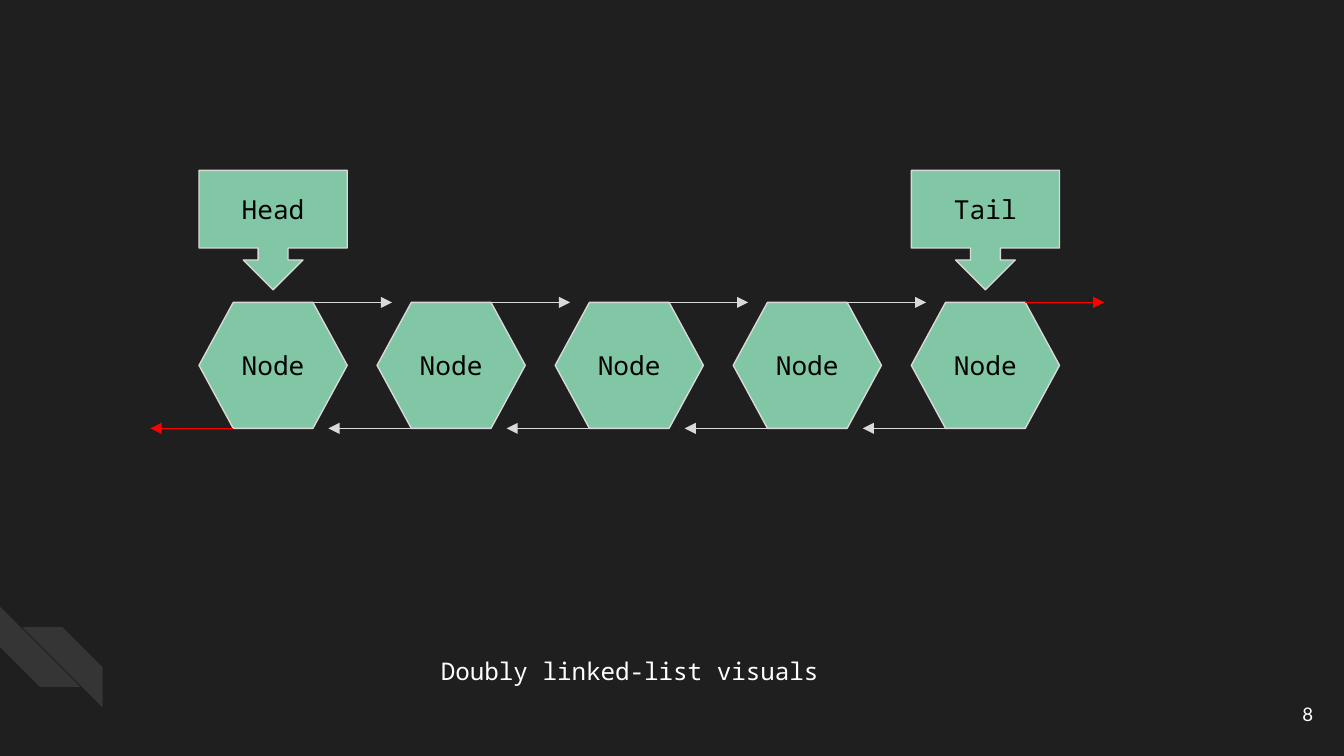
from lxml import etree
from pptx import Presentation
from pptx import util as u
from pptx.dml import color
from pptx.enum import shapes, text
from pptx.oxml import ns

Pt = u.Pt
Kind = shapes.MSO_SHAPE
Align = text.PP_ALIGN
HUES = {
    "back": "1F1F1F",
    "node": "82C7A5",
    "edge": "D9D9D9",
    "null": "FF0000",
    "ink": "000000",
    "light": "FFFFFF",
}
MONO = "Noto Sans Mono"
COUNT = 5
LEFT, TOP = 106.6, 162
WIDE, HIGH = 79.4, 67.5
STEP = 95.4


class Deck:
    """Holds the style and the slide being drawn."""

    def __init__(self):
        self.show = Presentation()
        self.show.slide_width, self.show.slide_height = Pt(720), Pt(405)
        self.slide = self.show.slides.add_slide(self.show.slide_layouts[6])
        self.paint(self.slide.background.fill, "back")

    def paint(self, fill, hue):
        fill.solid()
        fill.fore_color.rgb = color.RGBColor.from_string(HUES[hue])

    def letter(self, frame, words, size, hue, font=MONO, align=Align.CENTER):
        """Put one styled line of words into a text frame."""
        frame.word_wrap = True
        frame.vertical_anchor = text.MSO_ANCHOR.MIDDLE
        frame.margin_left = frame.margin_right = Pt(7.2)
        frame.margin_top = frame.margin_bottom = Pt(7.2)
        para = frame.paragraphs[0]
        para.alignment = align
        run = para.add_run()
        run.text = words
        run.font.size, run.font.name = Pt(size), font
        self.paint(run.font.fill, hue)

    def label(self, box, *args, **style):
        item = self.slide.shapes.add_textbox(*map(Pt, box))
        self.letter(item.text_frame, *args, **style)

    def shape(self, kind, box, hue, ratios):
        item = self.slide.shapes.add_shape(kind, *map(Pt, box))
        item.shadow.inherit = False
        for i, ratio in enumerate(ratios):
            item.adjustments[i] = ratio
        self.paint(item.fill, hue)
        return item

    def block(self, kind, box, words, ratios):
        item = self.shape(kind, box, "node", ratios)
        self.paint(item.line.fill, "edge")
        item.line.width = Pt(0.75)
        self.letter(item.text_frame, words, 14, "ink")

    def stripe(self, x, y, turn):
        """Draw a faint diagonal corner band."""
        item = self.shape(Kind.DIAGONAL_STRIPE, (x, y, 43, 43), "light", [0.5])
        item.rotation = turn
        item.line.fill.background()
        tint = item._element.spPr.find(".//" + ns.qn("a:srgbClr"))
        etree.SubElement(tint, ns.qn("a:alpha"), val="10000")

    def arrow(self, start, end, y, hue):
        item = self.slide.shapes.add_connector(
            shapes.MSO_CONNECTOR.STRAIGHT, Pt(start), Pt(y), Pt(end), Pt(y))
        self.paint(item.line.fill, hue)
        item.line.width = Pt(0.75)
        props = item._element.spPr
        etree.SubElement(props.find(ns.qn("a:ln")), ns.qn("a:tailEnd"),
                         type="triangle")
        etree.SubElement(props, ns.qn("a:effectLst"))


def main():
    deck = Deck()
    deck.stripe(0, 325, 270)
    deck.stripe(12, 336, 90)
    deck.label((64, 339, 546.5, 41), "Doubly linked-list visuals", 13, "light")
    deck.label((667.5, 367, 43, 31), "8", 10, "light", font="Lato",
               align=Align.RIGHT)

    last = COUNT - 1
    for i in range(COUNT):
        x = LEFT + i * STEP
        deck.block(Kind.HEXAGON, (x, TOP, WIDE, HIGH), "Node", (0.272, 1.155))
        deck.arrow(x + 18.4, x - 26, TOP + HIGH, "edge" if i else "null")
        deck.arrow(x + 61, x + 103.4, TOP, "edge" if i < last else "null")

    for i, words in ((0, "Head"), (last, "Tail")):
        deck.block(Kind.DOWN_ARROW_CALLOUT,
                   (LEFT + i * STEP, 91.3, WIDE, 64), words,
                   (0.25, 0.25, 0.25, 0.65))
    deck.show.save("out.pptx")


if __name__ == "__main__":
    main()
